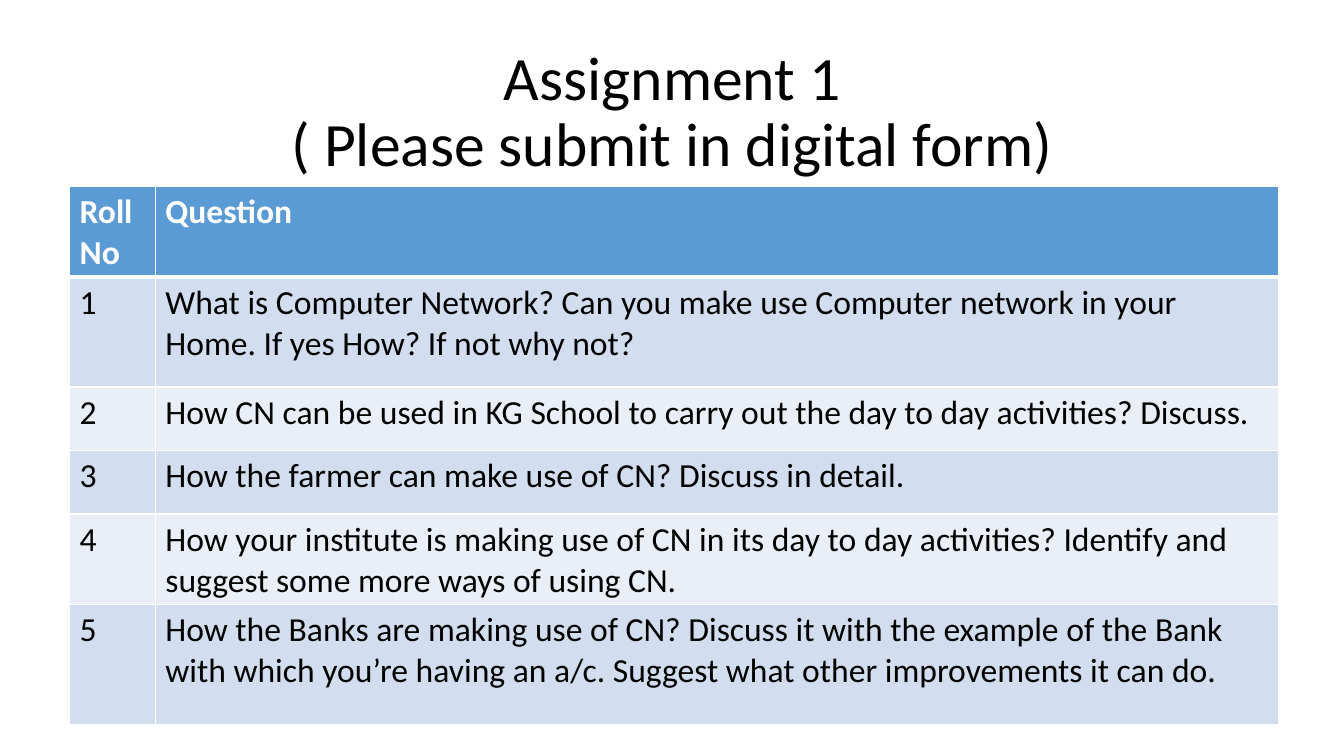
from lxml import etree
from pptx import Presentation
from pptx.dml.color import RGBColor
from pptx.enum import text as t
from pptx.oxml import ns
from pptx.util import Inches, Pt

BLACK = RGBColor(0x00, 0x00, 0x00)
WHITE = RGBColor(0xFF, 0xFF, 0xFF)
BLUE = RGBColor(0x5B, 0x9B, 0xD5)
BANDS = [RGBColor(0xEA, 0xEF, 0xF7), RGBColor(0xD2, 0xDE, 0xEF)]
FONT = "Calibri"

HEADS = ("Roll No", "Question")
TASKS = [
    "What is Computer Network? Can you make use Computer network in your Home. "
    "If yes How? If not why not?",
    "How CN can be used in KG School to carry out the day to day activities? Discuss.",
    "How the farmer can make use of CN? Discuss in detail.",
    "How your institute is making use of CN in its day to day activities? "
    "Identify and suggest some more ways of using CN.",
    "How the Banks are making use of CN? Discuss it with the example of the Bank "
    "with which you’re having an a/c. Suggest what other improvements it can do.",
]
WIDTHS = (0.85, 11.14)
HEIGHTS = (0.9, 1.09, 0.63, 0.63, 0.9, 1.19)


def style(para, size, color, bold=False):
    for run in para.runs:
        font = run.font
        font.name, font.size, font.bold = FONT, Pt(size), bold
        font.color.rgb = color


def add_title(slide, words):
    box = slide.shapes.add_textbox(Inches(0.92), Inches(0.4), Inches(11.5), Inches(1.45))
    frame = box.text_frame
    frame.word_wrap = True
    frame.vertical_anchor = t.MSO_ANCHOR.MIDDLE
    frame.text = words
    para = frame.paragraphs[0]
    para.alignment = t.PP_ALIGN.CENTER
    para.line_spacing = 0.9
    style(para, 44, BLACK)


def add_edge(cell, side, points):
    props = cell._tc.get_or_add_tcPr()
    line = etree.SubElement(props, ns.qn(f"a:ln{side}"), w=str(Pt(points)))
    fill = etree.SubElement(line, ns.qn("a:solidFill"))
    etree.SubElement(fill, ns.qn("a:srgbClr"), val=str(WHITE))


def fill_cell(cell, words, row):
    head = row == 0
    cell.text = words
    style(cell.text_frame.paragraphs[0], 24, WHITE if head else BLACK, head)
    # Thick rule between the header and the first question
    for side, thick in (("L", False), ("R", False), ("T", row == 1), ("B", head)):
        add_edge(cell, side, 3 if thick else 1)
    cell.fill.solid()
    cell.fill.fore_color.rgb = BLUE if head else BANDS[row % 2]


def add_grid(slide, rows):
    grid = slide.shapes.add_table(
        len(rows), len(WIDTHS), Inches(0.69), Inches(1.85),
        Inches(sum(WIDTHS)), Inches(sum(HEIGHTS))).table
    for col, width in zip(grid.columns, WIDTHS):
        col.width = Inches(width)
    for r, (words, height) in enumerate(zip(rows, HEIGHTS)):
        grid.rows[r].height = Inches(height)
        for c, word in enumerate(words):
            fill_cell(grid.cell(r, c), word, r)


def main():
    deck = Presentation()
    deck.slide_width, deck.slide_height = Inches(13.33), Inches(7.5)
    slide = deck.slides.add_slide(deck.slide_layouts[6])

    # Heading, then the numbered questions
    add_title(slide, "Assignment 1\v( Please submit in digital form)")
    tasks = [(str(n), task) for n, task in enumerate(TASKS, 1)]
    add_grid(slide, [HEADS] + tasks)

    deck.save("out.pptx")


if __name__ == "__main__":
    main()
